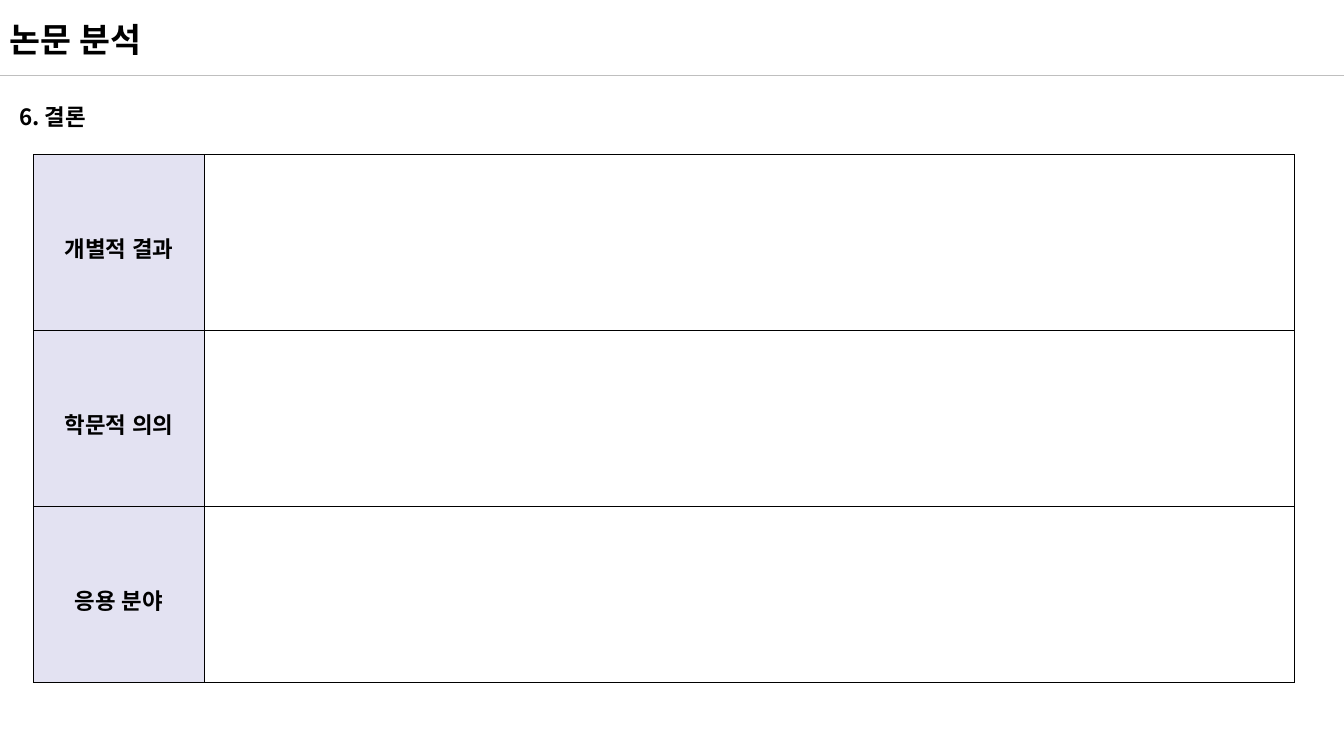
"""Builds the conclusion slide of a paper analysis: heading, rule and a three-row table."""
import pptx
import pptx.util
import pptx.dml.color
import pptx.enum.shapes
import pptx.enum.text
import pptx.oxml.ns
import lxml.etree

Inches, Pt = pptx.util.Inches, pptx.util.Pt
qn = pptx.oxml.ns.qn

WIDTH, HEIGHT = 13.33, 7.5
SANS = "Noto Sans CJK KR"
BLACK, RULE, LABEL_FILL = "000000", "BFBFBF", "E3E2F2"
RULE_Y = 0.75
HEADINGS = [
    ("논문 분석", (0, 0.14, 12.84, 0.5), 24, 1.0),
    ("6. 결론", (0.09, 0.84, 12.85, 0.91), 16, 1.5),
]
LABELS = ["개별적 결과", "학문적 의의", "응용 분야"]
TABLE_LEFT, TABLE_TOP = 0.33, 1.53
COLUMNS, ROW_HEIGHT = (1.7, 10.81), 1.745
BORDER_WIDTH = 0.28


def rgb(color):
    return pptx.dml.color.RGBColor.from_string(color)


def write(tf, text, size, font, spacing, align=None):
    p = tf.paragraphs[0]
    p.line_spacing, p.alignment = spacing, align
    r = p.add_run()
    r.text = text
    for name, value in {"size": Pt(size), "name": font, "bold": True}.items():
        setattr(r.font, name, value)
    r.font.color.rgb = rgb(BLACK)
    lxml.etree.SubElement(r.font._element, qn("a:ea"), typeface=font)


def add_borders(cell):
    tc_pr = cell._tc.get_or_add_tcPr()
    for index, side in enumerate(("lnL", "lnR", "lnT", "lnB")):
        ln = lxml.etree.Element(qn("a:" + side), w=str(Pt(BORDER_WIDTH)))
        fill = lxml.etree.SubElement(ln, qn("a:solidFill"))
        lxml.etree.SubElement(fill, qn("a:srgbClr"), val=BLACK)
        tc_pr.insert(index, ln)


prs = pptx.Presentation()
prs.slide_width, prs.slide_height = Inches(WIDTH), Inches(HEIGHT)
slide = prs.slides.add_slide(prs.slide_layouts[6])

rule = slide.shapes.add_connector(
    pptx.enum.shapes.MSO_CONNECTOR.STRAIGHT, 0, Inches(RULE_Y), Inches(WIDTH), Inches(RULE_Y))
rule.line.color.rgb = rgb(RULE)
rule.line.width = Pt(0.5)
lxml.etree.SubElement(rule._element.spPr, qn("a:effectLst"))

for text, box, size, spacing in HEADINGS:
    tf = slide.shapes.add_textbox(*map(Inches, box)).text_frame
    tf.word_wrap = True
    write(tf, text, size, SANS, spacing)

table = slide.shapes.add_table(
    len(LABELS), len(COLUMNS), Inches(TABLE_LEFT), Inches(TABLE_TOP),
    Inches(sum(COLUMNS)), Inches(ROW_HEIGHT * len(LABELS))).table
table.first_row = table.horz_banding = False
for column, width in zip(table.columns, COLUMNS):
    column.width = Inches(width)

cell_format = {
    "vertical_anchor": pptx.enum.text.MSO_ANCHOR.MIDDLE,
    "margin_left": Inches(0.07), "margin_right": Inches(0.07),
    "margin_top": Inches(0.02), "margin_bottom": Inches(0.02),
}
for row, label in zip(table.rows, LABELS):
    row.height = Inches(ROW_HEIGHT)
    label_cell, body_cell = row.cells
    for name, value in cell_format.items():
        setattr(label_cell, name, value)
    write(label_cell.text_frame, label, 16, "Arial", 1.6, pptx.enum.text.PP_ALIGN.CENTER)
    label_cell.fill.solid()
    label_cell.fill.fore_color.rgb = rgb(LABEL_FILL)
    body_cell.fill.background()
    for cell in (label_cell, body_cell):
        add_borders(cell)

prs.save("out.pptx")
